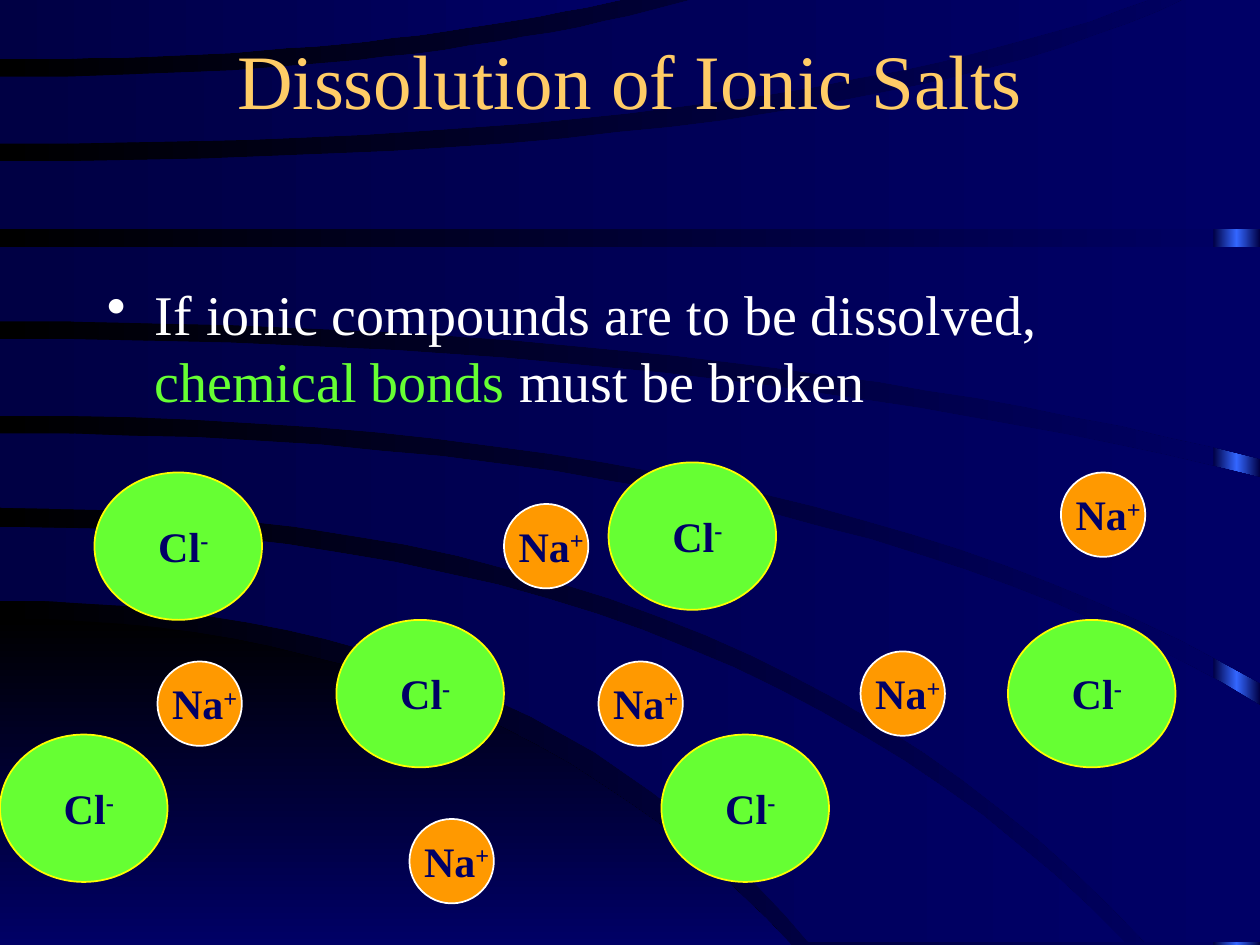
"""Build a slide on the dissolution of ionic salts."""
import copy
from dataclasses import dataclass

import pptx
import pptx.dml.color
import pptx.dml.fill
import pptx.enum.shapes
import pptx.enum.text
import pptx.oxml.ns
import pptx.shapes.shapetree
import pptx.util
from lxml import etree

Inches = pptx.util.Inches
Pt = pptx.util.Pt
Kind = pptx.enum.shapes.MSO_SHAPE
Align = pptx.enum.text.PP_ALIGN
Anchor = pptx.enum.text.MSO_ANCHOR
qn = pptx.oxml.ns.qn

FONT = "Times New Roman"
STEPS = 24
HEX = {
    "black": "000000", "navy": "000066", "dark": "000044", "blue": "3366FF",
    "gold": "FFCC66", "white": "FFFFFF", "green": "66FF33",
    "yellow": "FFFF00", "orange": "FF9900",
}


@dataclass(frozen=True)
class Ion:
    """Look of one kind of ion, with its label placed from its corner."""
    name: str
    charge: str
    width: float
    height: float
    shift: tuple[float, float]
    fill: str
    edge: str


@dataclass(frozen=True)
class Curve:
    """Quadratic curve that leaves the left edge level."""
    start: float
    bend: float
    right: float
    end: float

    def trace(self) -> list[tuple[float, float]]:
        """Return points along the curve."""
        points = []
        for step in range(STEPS + 1):
            part = step / STEPS
            across = 2 * part * (1 - part) * self.bend + part ** 2 * self.right
            down = self.start + part ** 2 * (self.end - self.start)
            points.append((across, down))
        return points


@dataclass(frozen=True)
class Band:
    """Area between two curves."""
    upper: Curve
    lower: Curve
    hues: tuple[str, str] = ("dark", "navy")
    angle: int = 0


def level(height: float, right: float) -> Curve:
    """Return a straight level edge."""
    return Curve(height, right / 2, right, height)


CHLORIDE = Ion("Cl", "-", 1.33, 1.17, (0.33, 0.33), "green", "yellow")
SODIUM = Ion("Na", "+", 0.67, 0.67, (0, 0.08), "orange", "white")

IONS = [
    (CHLORIDE, 0.75, 3.75), (SODIUM, 4.75, 5.25), (CHLORIDE, 4.83, 3.67),
    (SODIUM, 8.42, 3.75), (CHLORIDE, 2.67, 4.92), (SODIUM, 1.25, 5.25),
    (SODIUM, 4, 4), (CHLORIDE, 8, 4.92), (CHLORIDE, 0, 5.83),
    (SODIUM, 3.25, 6.5), (CHLORIDE, 5.25, 5.83), (SODIUM, 6.83, 5.17),
]

BANDS = [
    Band(Curve(4.91, 3.88, 6.28, 7.5), level(7.5, 6.28),
         ("black", "navy"), 90),
    Band(Curve(4.18, 5.74, 8.93, 7.48), Curve(4.77, 4.19, 6.42, 7.48)),
    Band(Curve(3.44, 6.4, 10, 5.6), Curve(4.03, 5.9, 9.09, 7.48)),
    Band(Curve(2.69, 5.54, 10, 3.79), Curve(3.3, 6.3, 10, 5.42)),
    Band(level(1.96, 10), Curve(2.55, 5.68, 10, 3.64)),
    Band(Curve(1.28, 6.72, 9.43, -0.02), level(1.82, 10)),
    Band(Curve(0.61, 3.34, 5.56, -0.02), Curve(1.14, 6.16, 9.17, -0.02)),
    Band(level(-0.02, 5.01), Curve(0.47, 2.9, 5.01, -0.02)),
]


def tint(name: str) -> pptx.dml.color.RGBColor:
    """Return a named colour."""
    return pptx.dml.color.RGBColor.from_string(HEX[name])


def blend(fill: pptx.dml.fill.FillFormat, hues: tuple, angle: int = 0) -> None:
    """Colour the stops of a gradient and turn it clockwise."""
    fill.gradient_angle = (360 - angle) % 360
    last = len(hues) - 1
    for index, (stop, hue) in enumerate(zip(fill.gradient_stops, hues)):
        stop.position = index / last
        stop.color.rgb = tint(hue)


def style(para, size: int, hue: str, bold: bool = False) -> None:
    """Set the font of a paragraph."""
    font = para.font
    font.name, font.size, font.bold = FONT, Pt(size), bold
    font.color.rgb = tint(hue)


def add_box(shapes, left: float, top: float, width: float, height: float):
    """Add a wrapping text box and return its frame."""
    box = shapes.add_textbox(*map(Inches, (left, top, width, height)))
    box.text_frame.word_wrap = True
    return box.text_frame


def add_glow(shapes: pptx.shapes.shapetree.SlideShapes) -> None:
    """Add the bright strip at the right edge."""
    strip = shapes.add_shape(
        Kind.RECTANGLE, *map(Inches, (9.63, 0, 0.37, 7.5)))
    strip.shadow.inherit = False
    strip.line.fill.background()
    strip.fill.gradient()
    stops = strip.element.spPr.find(".//" + qn("a:gsLst"))
    stops.insert(1, copy.deepcopy(stops[0]))
    blend(strip.fill, ("dark", "blue", "dark"))


def add_band(shapes: pptx.shapes.shapetree.SlideShapes, band: Band) -> None:
    """Add one curved band."""
    short, long = sorted((band.upper, band.lower), key=lambda c: c.right)
    corner = (long.right, short.end)
    points = band.upper.trace() + [corner] + band.lower.trace()[::-1]
    dots = [(round(x * 100), round(y * 100)) for x, y in points]
    pen = shapes.build_freeform(*dots[0], scale=Inches(0.01))
    pen.add_line_segments(dots[1:], close=True)
    shape = pen.convert_to_shape()
    shape.shadow.inherit = False
    shape.line.fill.background()
    shape.fill.gradient()
    blend(shape.fill, band.hues, band.angle)


def add_ion(shapes: pptx.shapes.shapetree.SlideShapes, ion: Ion,
            left: float, top: float) -> None:
    """Add an ion as a group of disc and label."""
    group = shapes.add_group_shape().shapes
    disc = group.add_shape(
        Kind.OVAL, *map(Inches, (left, top, ion.width, ion.height)))
    disc.shadow.inherit = False
    disc.fill.solid()
    disc.fill.fore_color.rgb = tint(ion.fill)
    disc.line.color.rgb = tint(ion.edge)
    disc.line.width = Pt(1)
    right, down = ion.shift
    frame = add_box(group, left + right, top + down, 0.75, 0.5)
    frame.auto_size = pptx.enum.text.MSO_AUTO_SIZE.SHAPE_TO_FIT_TEXT
    para = frame.paragraphs[0]
    para.alignment = Align.CENTER
    style(para, 24, "navy", True)
    para.add_run().text = ion.name
    sign = para.add_run()
    sign.text = ion.charge
    sign._r.get_or_add_rPr().set("baseline", "30000")


def add_text(shapes: pptx.shapes.shapetree.SlideShapes) -> None:
    """Add the title and the bullet."""
    frame = add_box(shapes, 0.75, 0, 8.5, 1.25)
    frame.vertical_anchor = Anchor.MIDDLE
    title = frame.paragraphs[0]
    title.text = "Dissolution of Ionic Salts"
    title.alignment = Align.CENTER
    style(title, 44, "gold")

    para = add_box(shapes, 0.75, 2.17, 8.5, 4.5).paragraphs[0]
    props = para._p.get_or_add_pPr()
    props.set("marL", str(Inches(0.38)))
    props.set("indent", str(Inches(-0.38)))
    etree.SubElement(props, qn("a:buChar")).set("char", "•")
    style(para, 32, "white")
    para.add_run().text = "If ionic compounds are to be dissolved, "
    key = para.add_run()
    key.text = "chemical bonds"
    key.font.color.rgb = tint("green")
    para.add_run().text = " must be broken"


def main() -> None:
    """Build and save the slide."""
    deck = pptx.Presentation()
    deck.slide_width, deck.slide_height = Inches(10), Inches(7.5)
    slide = deck.slides.add_slide(deck.slide_layouts[6])
    back = slide.background.fill
    back.gradient()
    blend(back, ("black", "navy"))
    add_glow(slide.shapes)
    for band in BANDS:
        add_band(slide.shapes, band)
    add_text(slide.shapes)
    for ion, left, top in IONS:
        add_ion(slide.shapes, ion, left, top)
    deck.save("out.pptx")


if __name__ == "__main__":
    main()
